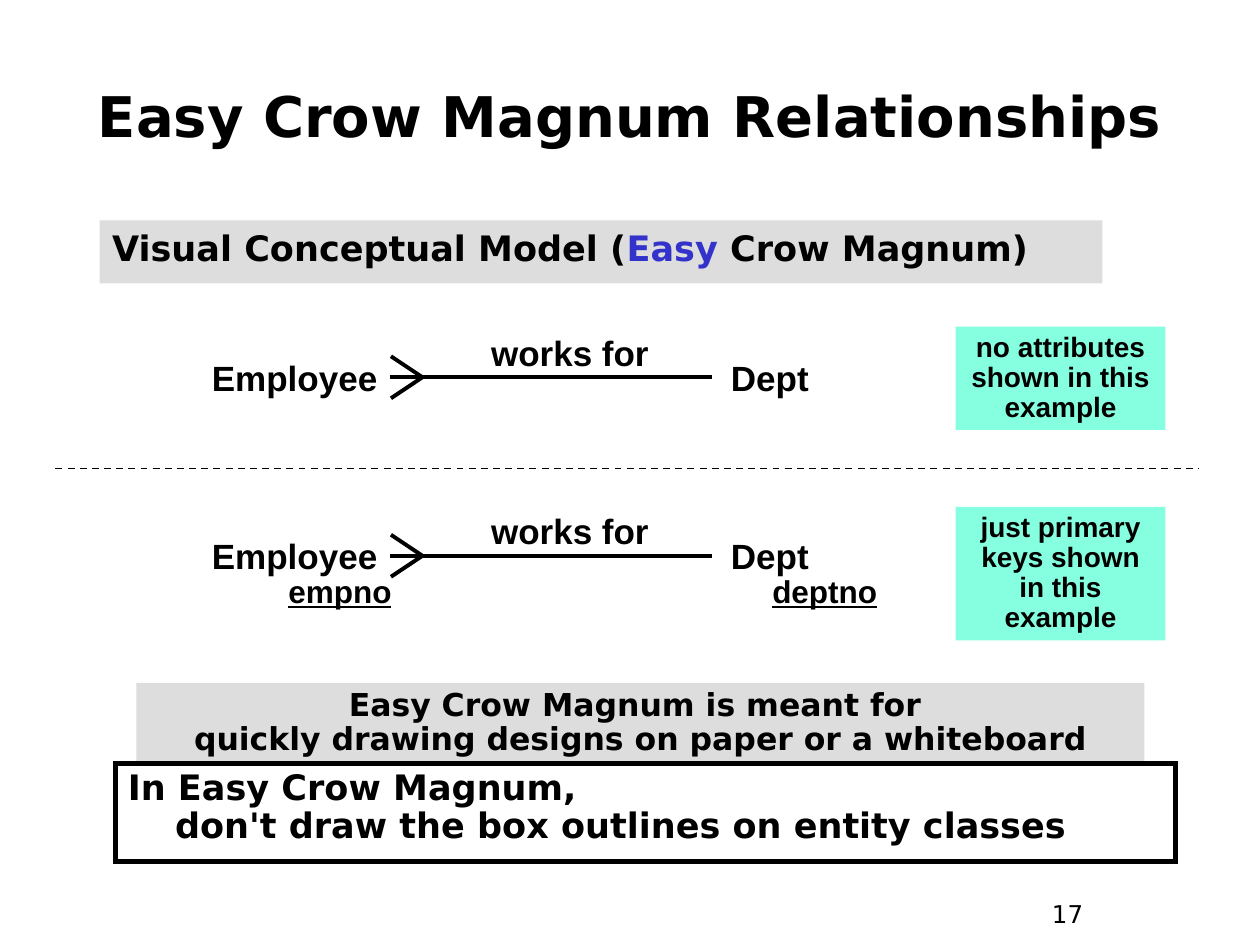
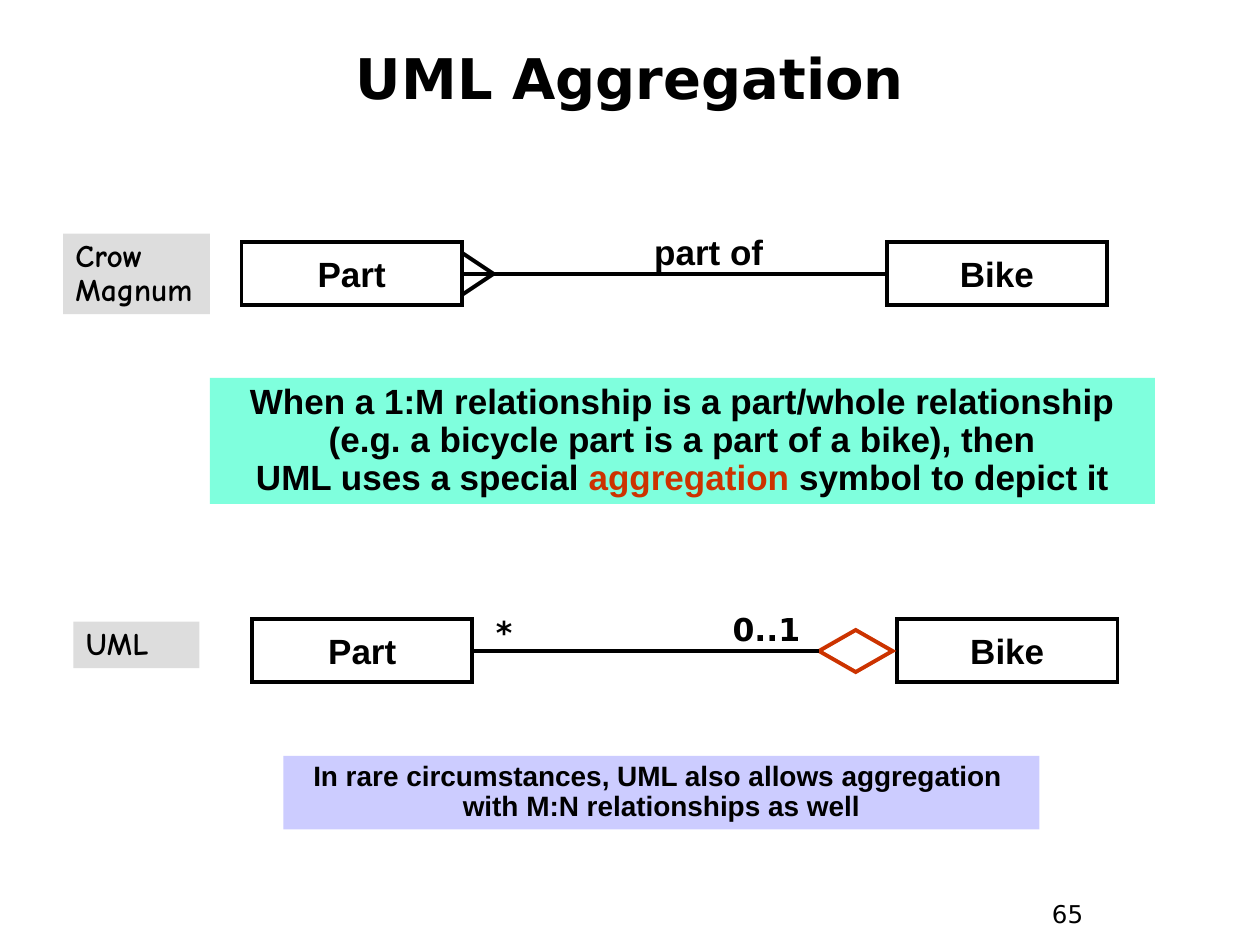
"""Build two slides on crow's foot relationships and UML aggregation."""
from lxml import etree
from pptx import Presentation
from pptx.dml.color import RGBColor
from pptx.enum.dml import MSO_LINE
from pptx.enum.shapes import MSO_CONNECTOR, MSO_SHAPE
from pptx.enum.text import MSO_ANCHOR, PP_ALIGN
from pptx.oxml.ns import qn
from pptx.util import Pt

RECT, DIAMOND = MSO_SHAPE.RECTANGLE, MSO_SHAPE.DIAMOND
STRAIGHT, DASH = MSO_CONNECTOR.STRAIGHT, MSO_LINE.DASH
LEFT, CENTER = PP_ALIGN.LEFT, PP_ALIGN.CENTER
TOP, MIDDLE = MSO_ANCHOR.TOP, MSO_ANCHOR.MIDDLE
LEFT_SIDE, RIGHT_SIDE = 1, 3

BLACK, WHITE, GRAY = "000000", "FFFFFF", "DDDDDD"
MINT, AQUA, LILAC = "85FFDF", "7FFFDD", "CCCCFF"
BLUE, RED = "3333CC", "CC3300"
HEADING, BODY, HAND = "DejaVu Sans", "Arial", "Comic Neue"

STROKE = 2.25
FOOT_LENGTH, FOOT_SPREAD = 18, 12
HANGING = 27

CROW_TITLE = dict(text="Easy Crow Magnum Relationships", box=(24, 36, 672, 60), spacing=1)
CROW_PAGE = "17"
CROW_ROW_TOPS = (188.6, 290.6)
CROW_ENTITIES = (("Employee", 114, 108.7), ("Dept", 406.8, 66.2))
CROW_ENTITY_HEIGHT = 54
CROW_VERB = "works for"
CROW_KEYS = (("empno", 157.7), ("deptno", 434.2))
CROW_NOTES = (
    ("no attributes shown in this example", 186.7, 59),
    ("just primary keys shown in this example", 289.7, 76.3),
)
CROW_MODEL = [("Visual Conceptual Model (", BLACK), ("Easy", BLUE), (" Crow Magnum)", BLACK)]
CROW_PURPOSE = "Easy Crow Magnum is meant for \nquickly drawing designs on paper or a whiteboard"
CROW_RULE = "In Easy Crow Magnum, \ndon't draw the box outlines on entity classes"

UML_TITLE = dict(text="UML Aggregation", box=(24, 13.7, 672, 66.2), spacing=0.85)
UML_PAGE = "65"
UML_ENTITIES = ("Part", "Bike")
UML_ENTITY_SIZE, UML_ENTITY_STEP = (126, 36), 368.6
UML_CROW_ORIGIN, UML_ORIGIN = (138, 138.5), (144, 354)
UML_NOTATIONS = (("Crow\nMagnum", (36, 133.5, 84, 46)), ("UML", (42, 355.3, 72, 26.6)))
UML_MULTIPLICITIES = (("*", (258, 349, 60, 26.6), 0.9), ("0..1", (408, 345, 60, 28.8), 1))
UML_EXPLANATION = [
    ("When a 1:M relationship is a part/whole relationship\n"
     "(e.g. a bicycle part is a part of a bike), then\n"
     "UML uses a special ", BLACK),
    ("aggregation", RED),
    (" symbol to depict it", BLACK),
]
UML_RARE = "In rare circumstances, UML also allows aggregation \nwith M:N relationships as well"


def color(hex_code):
    return RGBColor.from_string(hex_code)


def add_shape(slide, box, kind=RECT, fill=None, line=None, width=STROKE):
    shape = slide.shapes.add_shape(kind, *map(Pt, box))
    shape.shadow.inherit = False
    if fill:
        shape.fill.solid()
        shape.fill.fore_color.rgb = color(fill)
    else:
        shape.fill.background()
    if line:
        shape.line.color.rgb = color(line)
        shape.line.width = Pt(width)
        outline = shape._element.spPr.find(qn("a:ln"))
        etree.SubElement(outline, qn("a:miter"), lim="800000")
    else:
        shape.line.fill.background()
    return shape


def add_text(slide, text, box, size=20, font=BODY, bold=True, align=CENTER, anchor=TOP,
             spacing=1, wrap=True, underline=False, hanging=False, **look):
    if look:
        shape = add_shape(slide, box, **look)
    else:
        shape = slide.shapes.add_textbox(*map(Pt, box))
    frame = shape.text_frame
    frame.word_wrap = wrap
    if not wrap:
        frame.margin_left = frame.margin_right = 0
    frame.vertical_anchor = anchor
    paragraph = frame.paragraphs[0]
    paragraph.alignment = align
    paragraph.line_spacing = spacing
    if hanging:
        properties = paragraph._p.get_or_add_pPr()
        properties.set("marL", str(Pt(HANGING)))
        properties.set("indent", str(-Pt(HANGING)))
    paragraph.font.size = Pt(size)
    paragraph.font.name = font
    paragraph.font.bold = bold
    paragraph.font.underline = underline
    parts = [(text, BLACK)] if isinstance(text, str) else text
    for words, hue in parts:
        for number, line in enumerate(words.split("\n")):
            if number:
                paragraph.add_line_break()
            run = paragraph.add_run()
            run.text = line
            run.font.color.rgb = color(hue)
    return shape


def add_line(slide, start, end, width=STROKE):
    line = slide.shapes.add_connector(STRAIGHT, *map(Pt, (*start, *end)))
    line.line.color.rgb = color(BLACK)
    line.line.width = Pt(width)
    etree.SubElement(line._element.spPr, qn("a:effectLst"))
    return line


def join(slide, source, target):
    line = add_line(slide, (0, 0), (0, 0))
    line.begin_connect(source, RIGHT_SIDE)
    line.end_connect(target, LEFT_SIDE)


def add_crow_foot(slide, x, y):
    for spread in (-FOOT_SPREAD, FOOT_SPREAD):
        add_line(slide, (x + FOOT_LENGTH, y), (x, y + spread))


def start_slide(deck, title, page):
    slide = deck.slides.add_slide(deck.slide_layouts[6])
    add_text(slide, page, (594, 510, 54, 26.6), 14, HEADING, bold=False, align=LEFT)
    add_text(slide, size=32, font=HEADING, anchor=MIDDLE, **title)
    return slide


def build_crow_slide(deck):
    slide = start_slide(deck, CROW_TITLE, CROW_PAGE)
    for top in CROW_ROW_TOPS:
        employee, dept = [
            add_text(slide, name, (left, top, width, CROW_ENTITY_HEIGHT), anchor=MIDDLE, wrap=False)
            for name, left, width in CROW_ENTITIES
        ]
        add_text(slide, CROW_VERB, (265.7, top - 2.7, 120, 31.7))
        join(slide, employee, dept)
        _, left, width = CROW_ENTITIES[0]
        add_crow_foot(slide, left + width + 0.7, top + CROW_ENTITY_HEIGHT / 2)
    for key, left in CROW_KEYS:
        add_text(slide, key, (left, 325.9, 84, 26.6), 18, align=LEFT, spacing=0.9, underline=True)
    for note, top, height in CROW_NOTES:
        add_text(slide, note, (546, top, 120, height), 16, spacing=0.9, fill=MINT)
    add_text(slide, CROW_PURPOSE, (78, 390.2, 576, 46), 18, HEADING, spacing=0.9, fill=GRAY)
    add_text(slide, CROW_MODEL, (57, 126, 573, 36), font=HEADING, align=LEFT, fill=GRAY)
    add_text(slide, CROW_RULE, (66, 436.5, 606, 56), font=HEADING, align=LEFT, spacing=0.9,
             hanging=True, line=BLACK, width=3)
    divider = add_line(slide, (31.7, 267.8), (685.4, 267.8), 1)
    divider.line.dash_style = DASH


def add_entities(slide, origin):
    left, top = origin
    return [
        add_text(slide, name, (left + number * UML_ENTITY_STEP, top, *UML_ENTITY_SIZE),
                 anchor=MIDDLE, wrap=False, line=BLACK)
        for number, name in enumerate(UML_ENTITIES)
    ]


def build_uml_slide(deck):
    slide = start_slide(deck, UML_TITLE, UML_PAGE)
    for notation, box in UML_NOTATIONS:
        add_text(slide, notation, box, 18, HAND, align=LEFT, spacing=0.9, fill=GRAY)

    part, bike = add_entities(slide, UML_CROW_ORIGIN)
    join(slide, part, bike)
    left, top = UML_CROW_ORIGIN
    width, height = UML_ENTITY_SIZE
    add_crow_foot(slide, left + width, top + height / 2)
    add_text(slide, "part of", (345, 131.8, 120, 28), spacing=0.85)

    part, bike = add_entities(slide, UML_ORIGIN)
    aggregation = add_shape(slide, (468, 360, 42, 24), DIAMOND, WHITE, RED)
    join(slide, part, aggregation)
    for multiplicity, box, spacing in UML_MULTIPLICITIES:
        add_text(slide, multiplicity, box, 18, HEADING, spacing=spacing)

    add_text(slide, UML_EXPLANATION, (120, 216, 540, 72), spacing=0.9, fill=AQUA)
    add_text(slide, UML_RARE, (162, 432, 432, 42), 16, spacing=0.9, fill=LILAC)


def main():
    deck = Presentation()
    deck.slide_width, deck.slide_height = Pt(720), Pt(540)
    build_crow_slide(deck)
    build_uml_slide(deck)
    deck.save("out.pptx")


if __name__ == "__main__":
    main()
